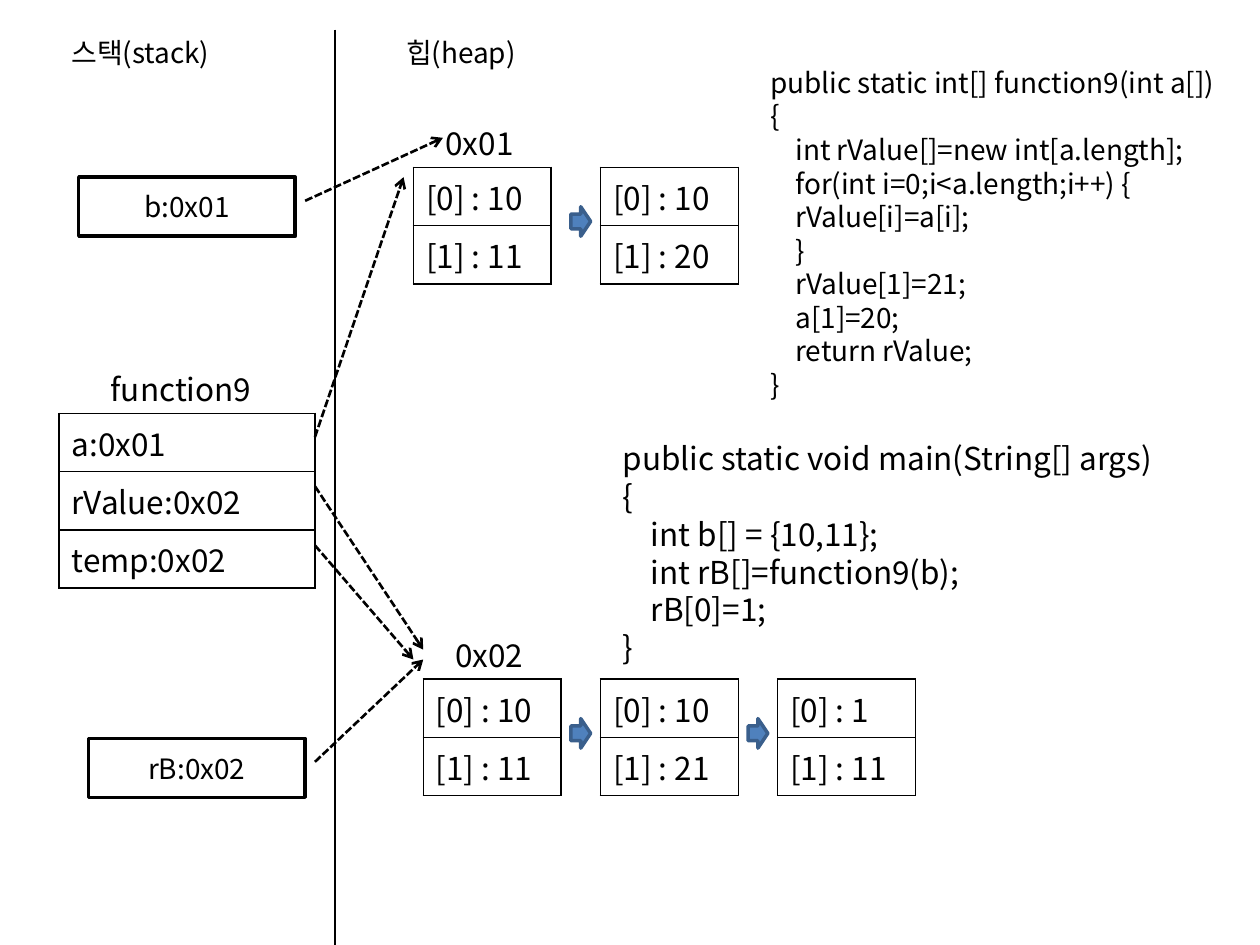
import pptx
import pptx.dml.color
import pptx.enum.dml
import pptx.enum.shapes
import pptx.enum.text
import pptx.oxml
import pptx.oxml.ns
import pptx.util
from lxml import etree

BLACK = pptx.dml.color.RGBColor(0x00, 0x00, 0x00)
WHITE = pptx.dml.color.RGBColor(0xFF, 0xFF, 0xFF)
BLUE = pptx.dml.color.RGBColor(0x4F, 0x81, 0xBD)
DARK_BLUE = pptx.dml.color.RGBColor(0x3A, 0x5F, 0x8C)
FONT = "Noto Sans CJK KR"
qn = pptx.oxml.ns.qn

deck = pptx.Presentation()
deck.slide_width = pptx.util.Inches(10)
deck.slide_height = pptx.util.Inches(7.5)
slide = deck.slides.add_slide(deck.slide_layouts[6])
shapes = slide.shapes

# The slide is a grid of 128 columns by 96 rows of square units
UNIT = deck.slide_width // 128
ROW = 5.18  # height of a memory cell, in units


def grid(*units):
    return [round(u * UNIT) for u in units]


def write(frame, lines, size, alignment=None):
    frame.text = "\n".join(lines)
    for paragraph in frame.paragraphs:
        paragraph.alignment = alignment
        font = paragraph.font
        font.name, font.size, font.color.rgb = FONT, pptx.util.Pt(size), BLACK
        latin = paragraph._p.pPr.find(qn("a:defRPr")).find(qn("a:latin"))
        east_asian = etree.Element(qn("a:ea"), typeface=FONT)
        latin.addnext(east_asian)


# Divider between stack and heap, then dashed references into the heap
divider = (34, 3, 34, 96)
references = [
    (31, 20.4, 45, 14),  # b
    (32, 77.4, 43, 67),  # rB
    (32, 44.4, 41, 18),  # a
    (32, 49.4, 43, 66),  # rValue
    (32, 55.4, 42, 67),  # temp
]
for ends in [divider] + references:
    connector = shapes.add_connector(
        pptx.enum.shapes.MSO_CONNECTOR.STRAIGHT, *grid(*ends))
    connector.line.color.rgb = BLACK
    connector.line.width = pptx.util.Pt(1.25)
    if ends != divider:
        connector.line.width = pptx.util.Pt(1.5)
        connector.line.dash_style = pptx.enum.dml.MSO_LINE.SQUARE_DOT
        outline = connector.line._get_or_add_ln()
        outline.find(qn("a:prstDash")).set("val", "sysDash")
        etree.SubElement(outline, qn("a:tailEnd"), type="arrow")
    etree.SubElement(connector._element.spPr, qn("a:effectLst"))

# Variables of main on the stack
for variable, left, top in [("b:0x01", 8, 18), ("rB:0x02", 9, 75)]:
    box = shapes.add_shape(
        pptx.enum.shapes.MSO_SHAPE.RECTANGLE, *grid(left, top, 22, 6))
    box.shadow.inherit = False
    box.fill.solid()
    box.fill.fore_color.rgb = WHITE
    box.line.color.rgb = BLACK
    box.line.width = pptx.util.Pt(2)
    box.text_frame.vertical_anchor = pptx.enum.text.MSO_ANCHOR.MIDDLE
    write(box.text_frame, [variable], 16, pptx.enum.text.PP_ALIGN.CENTER)

# Stack frame of function9 and the successive array states on the heap
memory = [
    (6, 42, 26, ["a:0x01", "rValue:0x02", "temp:0x02"]),
    (42, 17, 14, ["[0] : 10", "[1] : 11"]),
    (61, 17, 14, ["[0] : 10", "[1] : 20"]),
    (43, 69, 14, ["[0] : 10", "[1] : 11"]),
    (61, 69, 14, ["[0] : 10", "[1] : 21"]),
    (79, 69, 14, ["[0] : 1", "[1] : 11"]),
]
for left, top, width, entries in memory:
    table = shapes.add_table(
        len(entries), 1, *grid(left, top, width, ROW * len(entries))).table
    table.first_row = table.horz_banding = False
    for index, entry in enumerate(entries):
        cell = table.cell(index, 0)
        write(cell.text_frame, [entry], 18)
        cell.fill.background()
        for position, side in enumerate(("lnL", "lnR", "lnT", "lnB")):
            border = pptx.oxml.parse_xml(
                f'<a:{side} {pptx.oxml.ns.nsdecls("a")} w="12700"><a:solidFill>'
                f'<a:srgbClr val="{BLACK}"/></a:solidFill></a:{side}>')
            cell._tc.get_or_add_tcPr().insert(position, border)

# Block arrows from one array state to the next
for left, top in [(58, 21), (58, 73), (76, 73)]:
    change = shapes.add_shape(
        pptx.enum.shapes.MSO_SHAPE.RIGHT_ARROW, *grid(left, top, 2, 3))
    change.shadow.inherit = False
    change.fill.solid()
    change.fill.fore_color.rgb = BLUE
    change.line.color.rgb = DARK_BLUE
    change.line.width = pptx.util.Pt(2)

# Headings, addresses and code
function9_code = [
    "public static int[] function9(int a[]) {",
    "    int rValue[]=new int[a.length];",
    "    for(int i=0;i<a.length;i++) {",
    "    rValue[i]=a[i];",
    "    }",
    "    rValue[1]=21;",
    "    a[1]=20;",
    "    return rValue;",
    "}",
]
main_code = [
    "public static void main(String[] args) {",
    "    int b[] = {10,11};",
    "    int rB[]=function9(b);",
    "    rB[0]=1;",
    "}",
]
captions = [
    (6, 3, 20.4, 4.7, 16, ["스택(stack)"]),
    (40, 3, 20.4, 4.7, 16, ["힙(heap)"]),
    (10, 37, 18, 5.1, 18, ["function9"]),
    (44, 12, 10, 5.1, 18, ["0x01"]),
    (45, 64, 10, 5.1, 18, ["0x02"]),
    (77, 6, 49, 32.3, 16, function9_code),
    (62, 44, 58, 20.7, 18, main_code),
]
for left, top, width, height, size, lines in captions:
    caption = shapes.add_textbox(*grid(left, top, width, height)).text_frame
    caption.word_wrap = True
    caption.auto_size = pptx.enum.text.MSO_AUTO_SIZE.SHAPE_TO_FIT_TEXT
    write(caption, lines, size)

deck.save("out.pptx")
